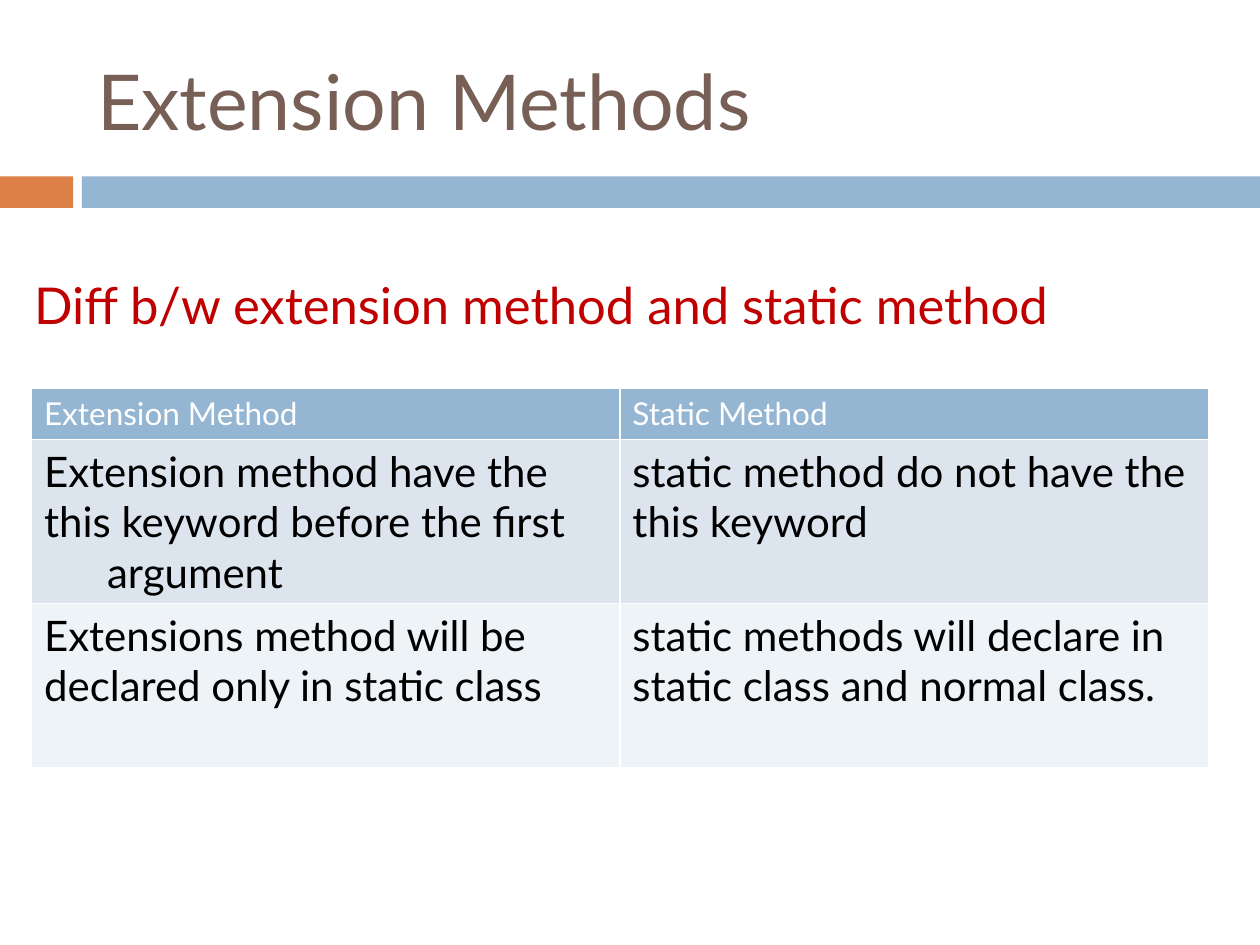
from lxml import etree
from pptx import Presentation
from pptx.dml.color import RGBColor
from pptx.enum import shapes, text
from pptx.oxml.ns import qn
from pptx.util import Inches, Pt

FONT = "Lato"
TITLE = "Extension Methods"
SUBTITLE = "Diff b/w extension method and static method"
BARS = [(0, 0.58, "DD8047"), (0.65, 9.35, "94B6D2")]  # left, width, colour
ROWS = [  # height, fill, text colour, size, cells as lists of lines
    (0.41, "94B6D2", "FFFFFF", 18, [["Extension Method"], ["Static Method"]]),
    (1.3, "DCE5EE", "000000", 24, [
        ["Extension method have the", "this keyword before the first", "\targument"],
        ["static method do not have the", "this keyword"]]),
    (1.3, "EEF3F7", "000000", 24, [
        ["Extensions method will be", "declared only in static class"],
        ["static methods will declare in", "static class and normal class."]]),
]
COLUMN_WIDTH = 4.67


def color(value):
    return RGBColor.from_string(value)


def write(frame, lines, size, ink):
    """Put each line in its own left-aligned paragraph."""
    for i, line in enumerate(lines):
        para = frame.add_paragraph() if i else frame.paragraphs[0]
        para.alignment = text.PP_ALIGN.LEFT
        span = para.add_run()
        span.text = line
        span.font.name = FONT
        span.font.size = Pt(size)
        span.font.color.rgb = color(ink)


def place(box, left, top, width, height):
    box.left, box.top = Inches(left), Inches(top)
    box.width, box.height = Inches(width), Inches(height)


def add_borders(cell, ink="FFFFFF", width=1):
    props = cell._tc.get_or_add_tcPr()
    for i, side in enumerate(("lnL", "lnR", "lnT", "lnB")):
        line = etree.Element(qn(f"a:{side}"), w=str(Pt(width)))
        fill = etree.SubElement(line, qn("a:solidFill"))
        etree.SubElement(fill, qn("a:srgbClr"), val=ink)
        props.insert(i, line)


deck = Presentation()
deck.slide_width, deck.slide_height = Inches(10), Inches(7.5)
page = deck.slides.add_slide(deck.slide_layouts[1])

for left, width, ink in BARS:
    bar = page.shapes.add_shape(shapes.MSO_SHAPE.RECTANGLE, Inches(left),
                                Inches(1.4), Inches(width), Inches(0.25))
    bar.shadow.inherit = False
    bar.fill.solid()
    bar.fill.fore_color.rgb = color(ink)
    bar.line.fill.background()

title = page.shapes.title
place(title, 0.67, 0.25, 8.92, 1.08)
title.text_frame.auto_size = text.MSO_AUTO_SIZE.NONE
title.text_frame.vertical_anchor = text.MSO_ANCHOR.MIDDLE
write(title.text_frame, [TITLE], 44, "775F55")

body = page.placeholders[1]
place(body, 0, 2.12, 9.5, 4.8)
body.text_frame.auto_size = text.MSO_AUTO_SIZE.NONE
body.text_frame.margin_left = Inches(0.27)
write(body.text_frame, [SUBTITLE], 29, "C00000")
subtitle = body.text_frame.paragraphs[0]
subtitle.space_before = Pt(7)
props = subtitle._p.get_or_add_pPr()
props.set("marL", "0")
props.set("indent", "0")
etree.SubElement(props, qn("a:buNone"))

table = page.shapes.add_table(
    len(ROWS), 2, Inches(0.25), Inches(3.08), Inches(2 * COLUMN_WIDTH),
    Inches(sum(row[0] for row in ROWS))).table
for column in table.columns:
    column.width = Inches(COLUMN_WIDTH)
for row, (height, fill, ink, size, cells) in zip(table.rows, ROWS):
    row.height = Inches(height)
    for cell, lines in zip(row.cells, cells):
        cell.fill.solid()
        cell.fill.fore_color.rgb = color(fill)
        add_borders(cell)
        write(cell.text_frame, lines, size, ink)

deck.save("out.pptx")
